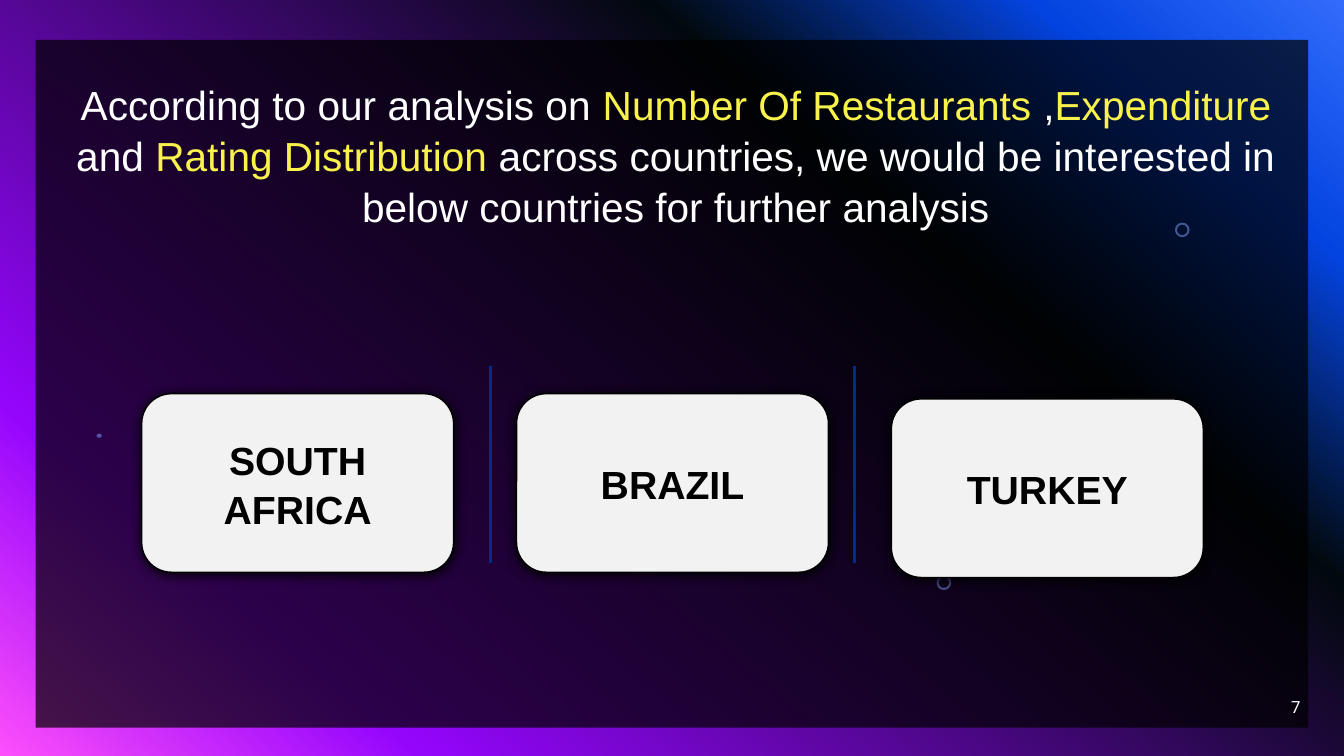
from lxml import etree
from pptx import Presentation
from pptx import util as u
from pptx.dml.color import RGBColor
from pptx.enum import shapes, text
from pptx.oxml.ns import qn

PX = 9525
BLACK = RGBColor(0x00, 0x00, 0x00)
WHITE = RGBColor(0xFF, 0xFF, 0xFF)
YELLOW = RGBColor(0xFA, 0xF2, 0x4C)
GREY = RGBColor(0xF2, 0xF2, 0xF2)
BLUE = RGBColor(0x03, 0x2B, 0x8F)
PALE = RGBColor(0x83, 0xA7, 0xFD)
GLOW = [
    (0, RGBColor(0x31, 0x6C, 0xFC)),
    (14, RGBColor(0x03, 0x43, 0xDF)),
    (31, RGBColor(0x02, 0x09, 0x0E)),
    (81, RGBColor(0x94, 0x05, 0xFC)),
    (100, RGBColor(0xFC, 0x4E, 0xFB)),
]
KIND = shapes.MSO_SHAPE
ALIGN = text.PP_ALIGN
MID = text.MSO_ANCHOR.MIDDLE

TITLE = [
    ("According to our analysis on ", WHITE),
    ("Number Of Restaurants ", YELLOW),
    (",", WHITE),
    ("Expenditure", YELLOW),
    (" and ", WHITE),
    ("Rating Distribution", YELLOW),
    (" across countries, we would be interested in below countries"
     " for further analysis", WHITE),
]
CARDS = [("SOUTH AFRICA", 375), ("BRAZIL", 375), ("TURKEY", 380)]


def px(*vals):
    return [u.Emu(val * PX) for val in vals]


def put(obj, form):
    for key, val in form.items():
        setattr(obj, key, val)


def child(node, tag, **attrs):
    return etree.SubElement(node, qn(tag), {k: str(v) for k, v in attrs.items()})


def tint(node, color, alpha=100):
    """Add an RGB colour, with opacity in percent, to an XML node."""
    rgb = child(node, "a:srgbClr", val=color)
    if alpha < 100:
        child(rgb, "a:alpha", val=alpha * 1000)


def add_back(slide):
    fill = slide.background.fill
    fill.gradient()
    fill.gradient_angle = 230
    stops = slide.element.find(".//" + qn("a:gsLst"))
    for stop in list(stops):
        stops.remove(stop)
    for pos, color in GLOW:
        tint(child(stops, "a:gs", pos=pos * 1000), color)


def add_shape(slide, kind, box, color, alpha=100):
    shape = slide.shapes.add_shape(kind, *px(*box))
    shape.shadow.inherit = False
    shape.fill.solid()
    shape.fill.fore_color.rgb = color
    shape.line.fill.background()
    if alpha < 100:
        rgb = shape.element.spPr.find(".//" + qn("a:srgbClr"))
        child(rgb, "a:alpha", val=alpha * 1000)
    return shape


def add_rule(slide, x, top, end):
    rule = slide.shapes.add_connector(
        shapes.MSO_CONNECTOR.STRAIGHT, *px(x, top, x, end))
    rule.line.color.rgb = BLUE
    rule.line.width = u.Pt(2)
    child(rule.element.spPr, "a:effectLst")


def write(shape, runs, frame, para, font):
    """Fill a shape with one paragraph of (words, colour) runs."""
    body = shape.text_frame
    put(body, {"word_wrap": True, **frame})
    line = body.paragraphs[0]
    put(line, para)
    for words, color in runs:
        run = line.add_run()
        run.text = words
        put(run.font, font)
        run.font.color.rgb = color


def add_text(slide, box, *words):
    write(slide.shapes.add_textbox(*px(*box)), *words)


def add_card(slide, name, x, y):
    card = add_shape(slide, KIND.ROUNDED_RECTANGLE, (x, y, 297, 170), GREY)
    card.line.color.rgb = BLACK
    card.line.width = u.Pt(1)
    glow = card.element.spPr.find(qn("a:effectLst"))
    tint(child(glow, "a:outerShdw", blurRad=u.Pt(8.5), dist=u.Pt(1),
               dir=90 * 60000, algn="ctr", rotWithShape=0), BLACK)
    write(card, [(name, BLACK)], {"vertical_anchor": MID},
          {"alignment": ALIGN.CENTER, "line_spacing": 1.04},
          {"name": "Arial", "size": u.Pt(28), "bold": True})


def main():
    prs = Presentation()
    put(prs, {"slide_width": 1280 * PX, "slide_height": 720 * PX})
    slide = prs.slides.add_slide(prs.slide_layouts[6])
    add_back(slide)
    add_shape(slide, KIND.RECTANGLE, (34, 38, 1212, 655), BLACK, 70)
    for x in (467, 814):
        add_rule(slide, x, 349, 536)
    add_shape(slide, KIND.OVAL, (92, 413, 5, 4), PALE, 49)
    for x, y in ((1119, 212), (892, 548)):
        ring = add_shape(slide, KIND.DONUT, (x, y, 14, 14), PALE, 49)
        ring.adjustments[0] = 0.14
    add_text(slide, (960, 654, 288, 38), [("7", WHITE)],
             {"vertical_anchor": MID}, {"alignment": ALIGN.RIGHT},
             {"name": "Roboto", "size": u.Pt(12)})
    for i, (name, y) in enumerate(CARDS):
        add_card(slide, name, 135 + 357 * i, y)
    add_text(slide, (53, 69, 1182, 180), TITLE,
             {"auto_size": text.MSO_AUTO_SIZE.SHAPE_TO_FIT_TEXT},
             {"alignment": ALIGN.CENTER, "line_spacing": 1.05},
             {"name": "Arial", "size": u.Pt(29)})
    prs.save("out.pptx")


if __name__ == "__main__":
    main()
